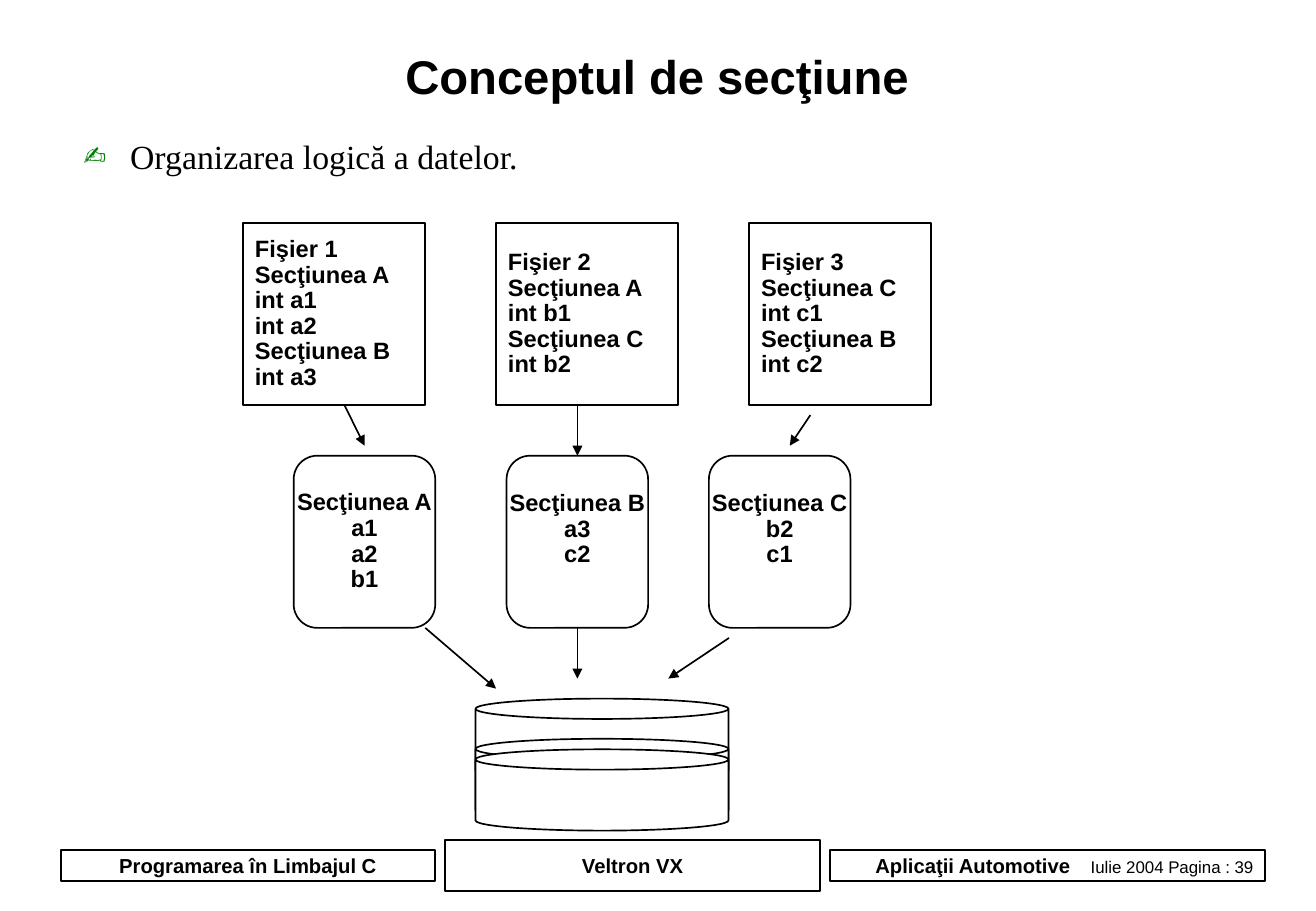
from lxml.etree import SubElement
from pptx import Presentation
from pptx.dml.color import RGBColor
from pptx.enum.shapes import MSO_CONNECTOR, MSO_SHAPE
from pptx.enum.text import MSO_ANCHOR, PP_ALIGN
from pptx.oxml.ns import qn
from pptx.util import Cm, Pt

COLORS = {"paper": "FFFFFF", "ink": "000000", "bullet": "008000", "shadow": "808080"}


def color(name):
    return RGBColor.from_string(COLORS[name])


def add_outline(slide, kind, left, top, width, height):
    outline = slide.shapes.add_shape(kind, Cm(left), Cm(top), Cm(width), Cm(height))
    outline.shadow.inherit = False
    outline.fill.solid()
    outline.fill.fore_color.rgb = color("paper")
    outline.line.color.rgb = color("ink")
    outline.line.width = Pt(1)
    return outline


def set_font(font, size, bold=True, name="Arial"):
    font.name = name
    font.size = Pt(size)
    font.bold = bold
    font.color.rgb = color("ink")


def write_lines(frame, lines, size, align, spacing=0.9):
    frame.word_wrap = False
    frame.vertical_anchor = MSO_ANCHOR.MIDDLE
    for index, line in enumerate(lines):
        paragraph = frame.paragraphs[0] if index == 0 else frame.add_paragraph()
        paragraph.text = line
        paragraph.alignment = align
        paragraph.line_spacing = spacing
        set_font(paragraph.font, size)


def add_arrow(slide, x1, y1, x2, y2):
    arrow = slide.shapes.add_connector(
        MSO_CONNECTOR.STRAIGHT, Cm(x1), Cm(y1), Cm(x2), Cm(y2))
    arrow.line.color.rgb = color("ink")
    arrow.line.width = Pt(1)
    SubElement(arrow.line._get_or_add_ln(), qn("a:tailEnd"), type="triangle")
    SubElement(arrow._element.spPr, qn("a:effectLst"))


def add_title(slide, left, top, width, height):
    frame = slide.shapes.add_textbox(Cm(left), Cm(top), Cm(width), Cm(height)).text_frame
    write_lines(frame, ["Conceptul de secţiune"], 28, PP_ALIGN.CENTER)
    frame.word_wrap = True
    properties = frame.paragraphs[0].runs[0].font._element
    effects = SubElement(properties, qn("a:effectLst"))
    shadow = SubElement(effects, qn("a:outerShdw"), dist="35921", dir="2700000")
    SubElement(shadow, qn("a:srgbClr"), val=COLORS["shadow"])


def add_statement(slide, left, top, width, height):
    frame = slide.shapes.add_textbox(Cm(left), Cm(top), Cm(width), Cm(height)).text_frame
    frame.word_wrap = True
    frame.margin_left = frame.margin_right = Cm(0.28)
    frame.margin_top = frame.margin_bottom = Cm(0.15)
    statement = frame.paragraphs[0]
    statement.text = "Organizarea logică a datelor."
    statement.line_spacing = 0.9
    statement.space_before = Pt(5)
    set_font(statement.font, 20, False, "Times New Roman")
    properties = statement._p.get_or_add_pPr()
    properties.set("marL", str(Cm(0.97)))
    properties.set("indent", str(-Cm(0.97)))
    bullet_color = SubElement(properties, qn("a:buClr"))
    SubElement(bullet_color, qn("a:srgbClr"), val=COLORS["bullet"])
    SubElement(properties, qn("a:buChar"), char="✍")
    properties.append(properties.find(qn("a:defRPr")))


def add_files(slide, left, top, size, pitch):
    files = [
        ["Fişier 1", "Secţiunea A", "int a1", "int a2", "Secţiunea B", "int a3"],
        ["Fişier 2", "Secţiunea A", "int b1", "Secţiunea C", "int b2"],
        ["Fişier 3", "Secţiunea C", "int c1", "Secţiunea B", "int c2"],
    ]
    for index, lines in enumerate(files):
        file_box = add_outline(
            slide, MSO_SHAPE.RECTANGLE, left + index * pitch, top, size, size)
        write_lines(file_box.text_frame, lines, 14, PP_ALIGN.LEFT)


def add_sections(slide, left, top, width, height):
    line_height = 0.51
    sections = [
        (0, ["Secţiunea A", "a1", "a2", "b1"]),
        (4.45, ["Secţiunea B", "a3", "c2"]),
        (8.68, ["Secţiunea C", "b2", "c1"]),
    ]
    for offset, lines in sections:
        section = add_outline(
            slide, MSO_SHAPE.ROUNDED_RECTANGLE, left + offset, top, width, height)
        write_lines(section.text_frame, lines, 14, PP_ALIGN.CENTER)
        section.text_frame.margin_bottom = Cm(0.13 + (4 - len(lines)) * line_height)


def add_memory(slide, left, top, width, height):
    for offset in (0, 0.84, 1.06):
        add_outline(slide, MSO_SHAPE.CAN, left, top + offset, width, height)


def add_flow(slide, left, top):
    flow = [
        (0, 0, 0.42, 0.85), (4.87, 0, 4.87, 1.06), (9.74, 0.21, 9.31, 0.85),
        (1.69, 4.66, 3.17, 5.93), (4.87, 4.66, 4.87, 5.72), (8.04, 4.87, 6.77, 5.72),
    ]
    for x1, y1, x2, y2 in flow:
        add_arrow(slide, left + x1, top + y1, left + x2, top + y2)


def add_footer(slide, left, top, height):
    parts = [
        (0, 0, 7.83, height, "Programarea în Limbajul C", PP_ALIGN.CENTER),
        (16.08, 0, 9.1, height, "Aplicaţii Automotive\u2003", PP_ALIGN.RIGHT),
        (8.04, -0.21, 7.83, height + 0.43, "Veltron VX", PP_ALIGN.CENTER),
    ]
    for x, y, width, part_height, label, align in parts:
        part = add_outline(
            slide, MSO_SHAPE.RECTANGLE, left + x, top + y, width, part_height)
        write_lines(part.text_frame, [label], 12, align, 1.0)
        if align == PP_ALIGN.RIGHT:
            page = part.text_frame.paragraphs[0].add_run()
            page.text = "Iulie 2004 Pagina : 39"
            set_font(page.font, 10, False)


presentation = Presentation()
presentation.slide_width = Cm(27.51)
presentation.slide_height = Cm(19.05)
slide = presentation.slides.add_slide(presentation.slide_layouts[6])
add_footer(slide, 1.27, 17.78, 0.64)
add_title(slide, 1.57, 0.94, 24.33, 1.42)
add_statement(slide, 1.47, 2.79, 24.77, 1.07)
add_files(slide, 5.08, 4.66, 3.81, 5.29)
add_sections(slide, 6.14, 9.53, 2.96, 3.6)
add_memory(slide, 9.94, 14.61, 5.29, 1.7)
add_flow(slide, 7.2, 8.47)
presentation.save("out.pptx")
